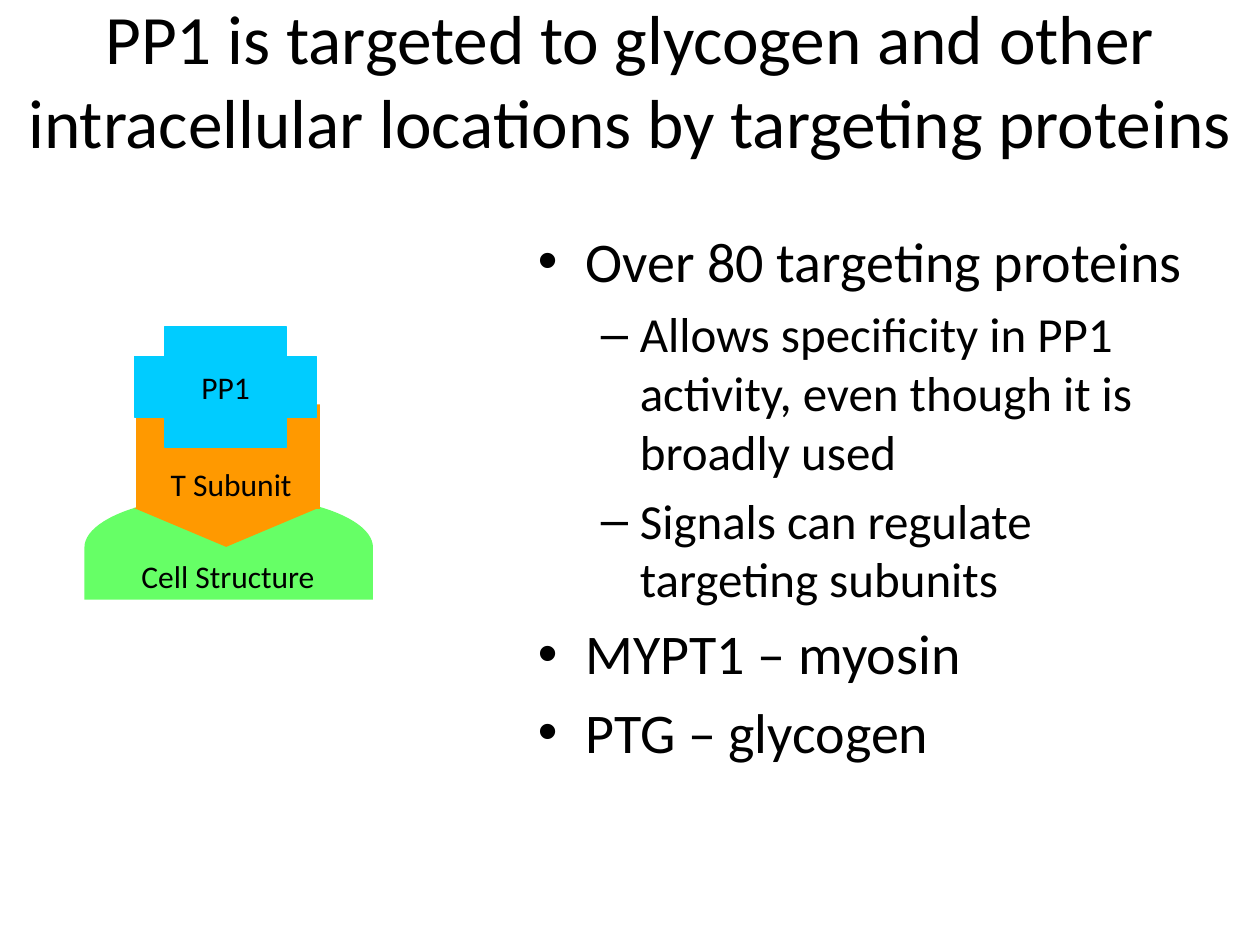
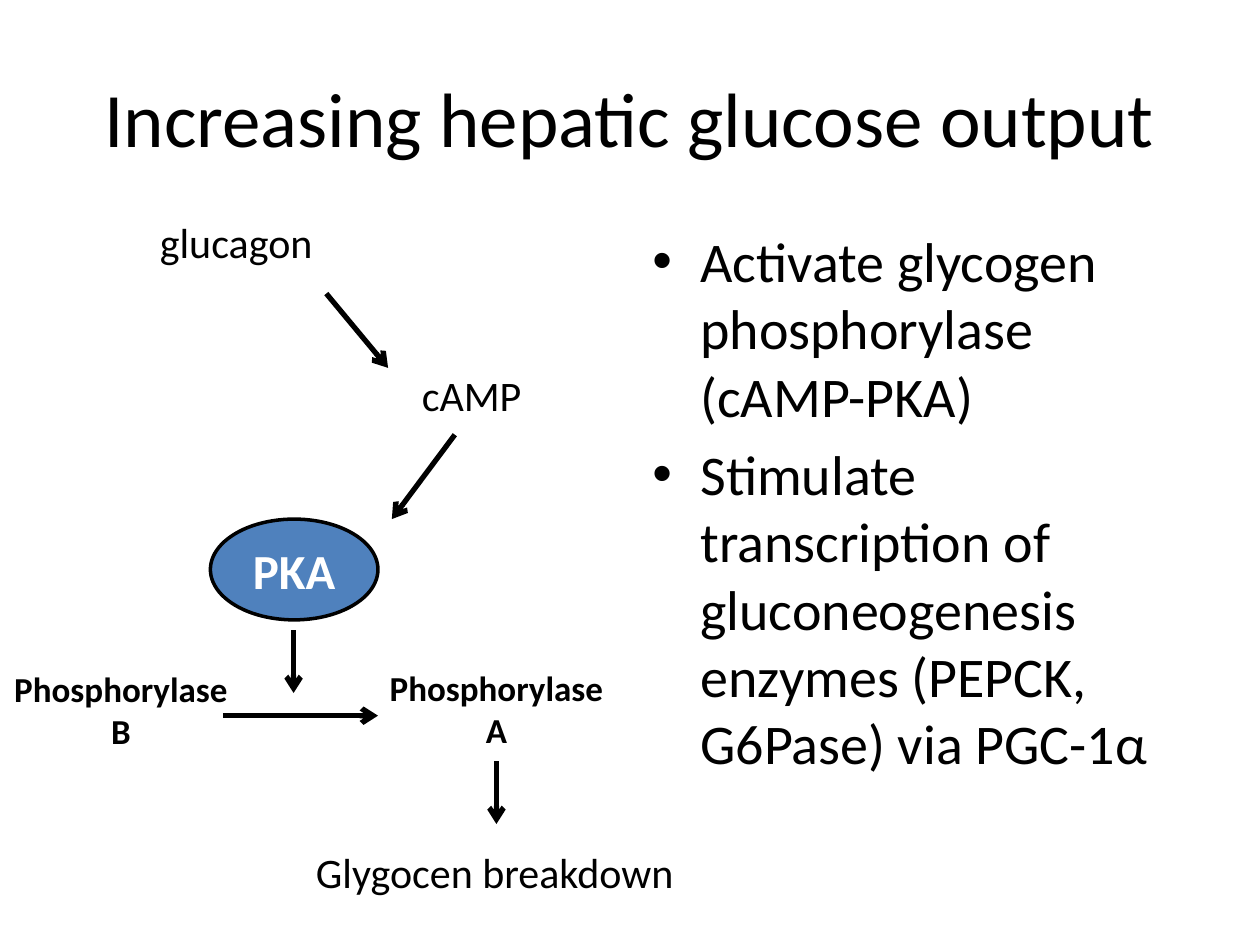
from lxml import etree
from pptx import Presentation
from pptx.dml.color import RGBColor
from pptx.enum.shapes import MSO_CONNECTOR, MSO_SHAPE
from pptx.enum.text import MSO_ANCHOR, PP_ALIGN
from pptx.oxml.ns import qn
from pptx.util import Inches, Pt

LEFT, CENTER = PP_ALIGN.LEFT, PP_ALIGN.CENTER
TOP, MIDDLE = MSO_ANCHOR.TOP, MSO_ANCHOR.MIDDLE
RECTANGLE, ELLIPSE, PLUS = MSO_SHAPE.RECTANGLE, MSO_SHAPE.OVAL, MSO_SHAPE.CROSS
DELAY, TRIANGLE = MSO_SHAPE.FLOWCHART_DELAY, MSO_SHAPE.ISOSCELES_TRIANGLE
STRAIGHT = MSO_CONNECTOR.STRAIGHT

FONT = "Calibri"
BLACK = RGBColor(0x00, 0x00, 0x00)
WHITE = RGBColor(0xFF, 0xFF, 0xFF)
GREEN = RGBColor(0x66, 0xFF, 0x66)
ORANGE = RGBColor(0xFF, 0x99, 0x00)
CYAN = RGBColor(0x00, 0xCC, 0xFF)
BLUE = RGBColor(0x4F, 0x81, 0xBD)

# Slide frame, in inches
WIDTH, HEIGHT = 10, 7.5
TITLE_HEIGHT = 1.25
BODY_TOP, BODY_HEIGHT, BODY_RIGHT = 1.75, 4.95, 9.5

# Bullet levels: character, size, left margin, hanging indent
LEVELS = [("•", 32, 0.38, 0.38), ("–", 28, 0.81, 0.31)]

# Content: title (text, left, top, size), body left edge, bullets (level, text)
TARGETING = {
    "title": ("PP1 is targeted to glycogen and other intracellular locations "
              "by targeting proteins", 0, 0, 39.6),
    "body_left": 4.17,
    "bullets": [
        (0, "Over 80 targeting proteins"),
        (1, "Allows specificity in PP1 activity, even though it is broadly used"),
        (1, "Signals can regulate targeting subunits"),
        (0, "MYPT1 – myosin"),
        (0, "PTG – glycogen"),
    ],
}
GLUCOSE = {
    "title": ("Increasing hepatic glucose output", 0.5, 0.3, 44),
    "body_left": 5.08,
    "bullets": [
        (0, "Activate glycogen phosphorylase (cAMP-PKA)"),
        (0, "Stimulate transcription of gluconeogenesis enzymes "
            "(PEPCK, G6Pase) via PGC-1α"),
    ],
}

# Protein complex, back to front: (preset, box, fill, rotation) or (label, box)
COMPLEX = [
    (DELAY, (1.4, 3.2, 0.83, 2.29), GREEN, 270),
    ("Cell Structure", (0.87, 4.37, 1.88, 0.4)),
    (RECTANGLE, (1.08, 3.21, 1.46, 0.83), ORANGE, 0),
    (TRIANGLE, (1.06, 4.03, 1.47, 0.31), ORANGE, 180),
    ("T Subunit", (1.16, 3.64, 1.35, 0.4)),
]
PP1_BOX = (1.07, 2.59, 1.44, 0.96)

# Signalling pathway: labels (text, box) and arrows (from, to)
PKA_BOX = (1.67, 4.12, 1.33, 0.8)
STEPS = [
    ("glucagon", (1.17, 1.67, 1.42, 0.5)),
    ("cAMP", (3.25, 2.88, 1, 0.5)),
    ("Glygocen breakdown", (2.41, 6.67, 3.07, 0.5)),
]
ENZYMES = [
    ("Phosphorylase B", (0, 5.25, 1.92, 0.77)),
    ("Phosphorylase A", (2.98, 5.24, 1.92, 0.77)),
]
ARROWS = [
    ((2.59, 2.33), (3.08, 2.92)),
    ((3.61, 3.45), (3.11, 4.12)),
    ((1.77, 5.68), (3, 5.68)),
    ((2.33, 5), (2.33, 5.5)),
    ((3.94, 6.04), (3.94, 6.54)),
]


def inches(lengths):
    return [Inches(length) for length in lengths]


def style(paragraph, size, color=BLACK, bold=False, align=CENTER):
    paragraph.alignment = align
    font = paragraph.font
    font.name, font.size, font.bold = FONT, Pt(size), bold
    font.color.rgb = color


def write(shape, text, size, anchor=TOP, wrap=True, **look):
    frame = shape.text_frame
    frame.word_wrap = wrap
    frame.vertical_anchor = anchor
    frame.text = text
    style(frame.paragraphs[0], size, **look)


def add_text(shapes, text, box, size, **look):
    write(shapes.add_textbox(*inches(box)), text, size, **look)


def add_figure(shapes, preset, box, fill, line=None, line_width=0, rotation=0):
    shape = shapes.add_shape(preset, *inches(box))
    shape.shadow.inherit = False
    shape.rotation = rotation
    shape.fill.solid()
    shape.fill.fore_color.rgb = fill
    if line is None:
        shape.line.fill.background()
    else:
        shape.line.color.rgb = line
        shape.line.width = Pt(line_width)
    return shape


def add_arrow(shapes, start, end):
    arrow = shapes.add_connector(STRAIGHT, *inches(start + end))
    arrow.line.color.rgb = BLACK
    arrow.line.width = Pt(3)
    etree.SubElement(arrow.line._get_or_add_ln(), qn("a:tailEnd"), type="arrow")
    etree.SubElement(arrow._element.spPr, qn("a:effectLst"))


def add_bullets(shapes, left, bullets):
    box = (left, BODY_TOP, BODY_RIGHT - left, BODY_HEIGHT)
    frame = shapes.add_textbox(*inches(box)).text_frame
    frame.word_wrap = True
    for index, (level, text) in enumerate(bullets):
        paragraph = frame.add_paragraph() if index else frame.paragraphs[0]
        character, size, margin, hanging = LEVELS[level]
        paragraph.text = text
        paragraph.level = level
        paragraph.space_before = Pt(size * 0.2)
        style(paragraph, size, align=LEFT)
        properties = paragraph._p.get_or_add_pPr()
        properties.set("marL", str(Inches(margin)))
        properties.set("indent", str(-Inches(hanging)))
        bullet_font = etree.Element(qn("a:buFont"), typeface="Arial")
        bullet = etree.Element(qn("a:buChar"), char=character)
        # Bullet elements come before the default run properties
        for element in (bullet_font, bullet):
            properties.find(qn("a:defRPr")).addprevious(element)


def add_content_slide(presentation, content):
    shapes = presentation.slides.add_slide(presentation.slide_layouts[6]).shapes
    text, left, top, size = content["title"]
    add_text(shapes, text, (left, top, WIDTH - 2 * left, TITLE_HEIGHT), size,
             anchor=MIDDLE)
    add_bullets(shapes, content["body_left"], content["bullets"])
    return shapes


def draw_complex(shapes):
    group = shapes.add_group_shape().shapes
    for kind, box, *paint in COMPLEX:
        if paint:
            fill, rotation = paint
            add_figure(group, kind, box, fill, rotation=rotation)
        else:
            add_text(group, kind, box, 18)
    pp1 = add_figure(group, PLUS, PP1_BOX, CYAN, CYAN, 0.75)
    write(pp1, "PP1", 18, anchor=MIDDLE, wrap=False)


def draw_pathway(shapes):
    pka = add_figure(shapes, ELLIPSE, PKA_BOX, BLUE, BLACK, 2)
    write(pka, "PKA", 28, anchor=MIDDLE, color=WHITE, bold=True)
    for start, end in ARROWS:
        add_arrow(shapes, start, end)
    for text, box in STEPS:
        add_text(shapes, text, box, 24, wrap=False, align=LEFT)
    for text, box in ENZYMES:
        add_text(shapes, text, box, 20, bold=True)


def main():
    presentation = Presentation()
    presentation.slide_width, presentation.slide_height = inches((WIDTH, HEIGHT))
    draw_complex(add_content_slide(presentation, TARGETING))
    draw_pathway(add_content_slide(presentation, GLUCOSE))
    presentation.save("out.pptx")


if __name__ == "__main__":
    main()
